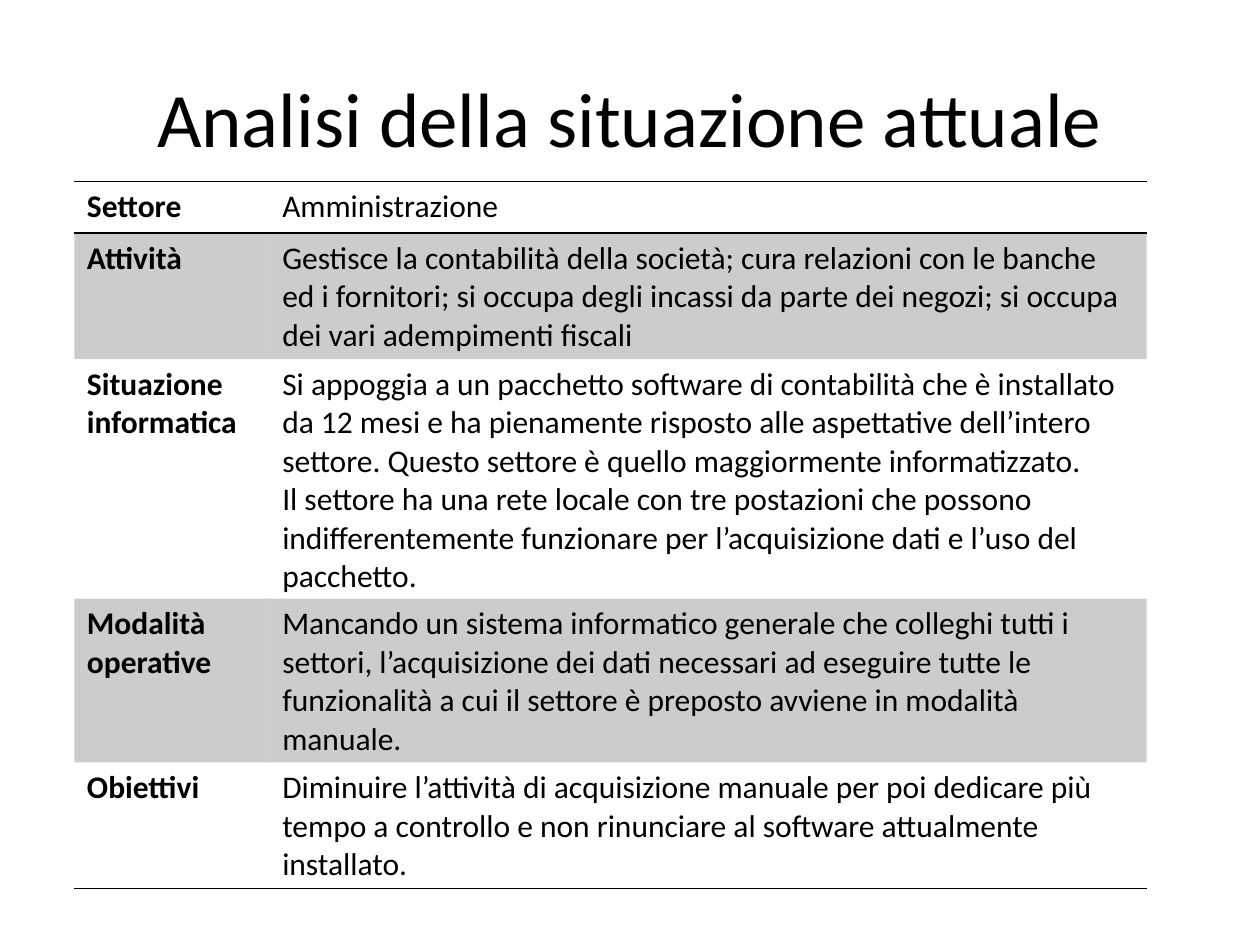
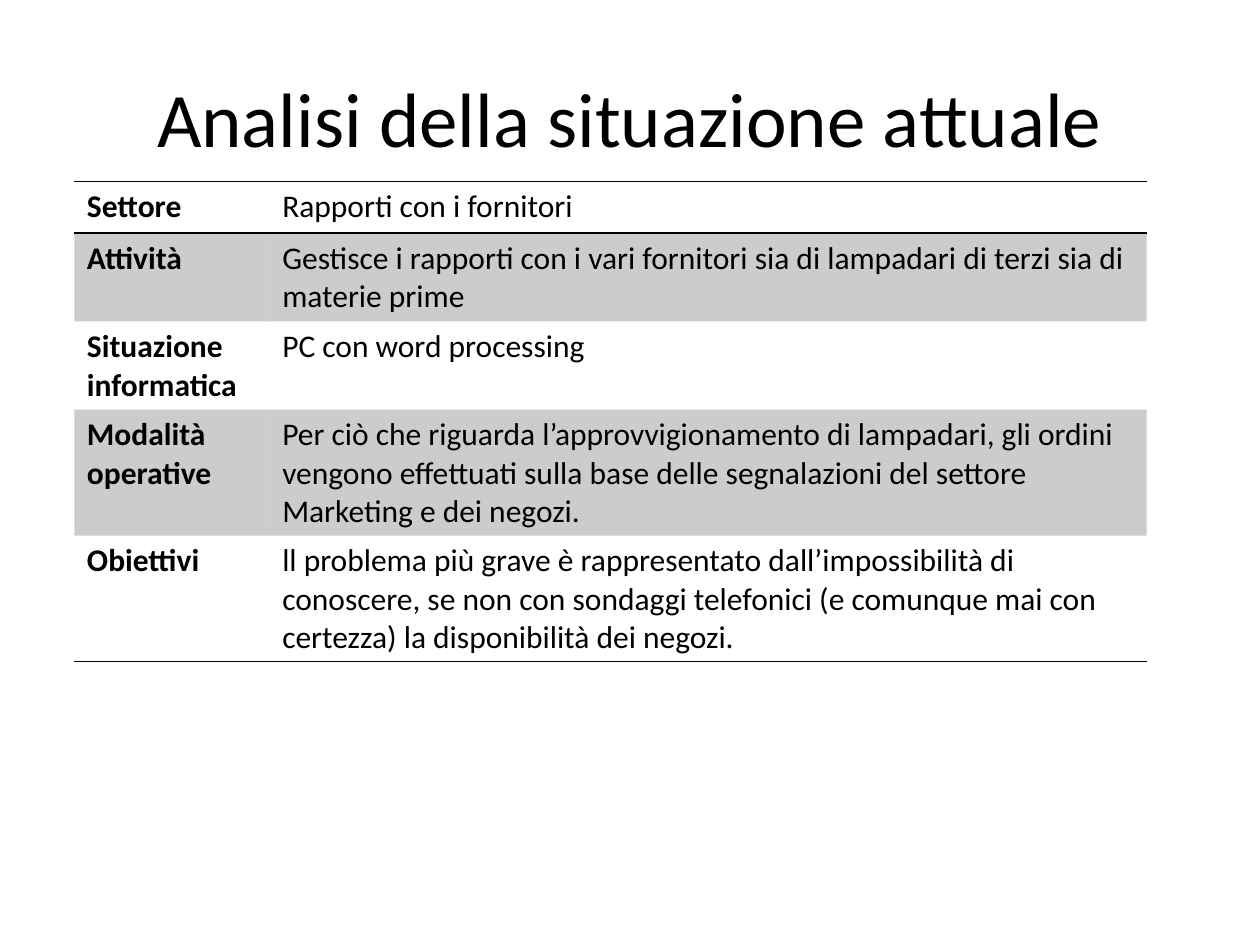
"""Build two slides that analyse the current situation of a company's departments."""
from dataclasses import dataclass

from lxml.etree import SubElement
from pptx import Presentation
from pptx.dml.color import RGBColor
from pptx.enum.text import MSO_ANCHOR as Anchor, PP_ALIGN as Align
from pptx.oxml.ns import qn
from pptx.util import Inches, Pt

TITLE = "Analisi della situazione attuale"
LABELS = ["Settore", "Attività", "Situazione informatica", "Modalità operative", "Obiettivi"]
SECTORS = [
    [
        ["Amministrazione"],
        ["Gestisce la contabilità della società; cura relazioni con le banche ed i fornitori; "
         "si occupa degli incassi da parte dei negozi; si occupa dei vari adempimenti fiscali"],
        ["Si appoggia a un pacchetto software di contabilità che è installato da 12 mesi e ha "
         "pienamente risposto alle aspettative dell’intero settore. Questo settore è quello "
         "maggiormente informatizzato.",
         "Il settore ha una rete locale con tre postazioni che possono indifferentemente "
         "funzionare per l’acquisizione dati e l’uso del pacchetto."],
        ["Mancando un sistema informatico generale che colleghi tutti i settori, l’acquisizione "
         "dei dati necessari ad eseguire tutte le funzionalità a cui il settore è preposto "
         "avviene in modalità manuale."],
        ["Diminuire l’attività di acquisizione manuale per poi dedicare più tempo a controllo e "
         "non rinunciare al software attualmente installato."],
    ],
    [
        ["Rapporti con i fornitori"],
        ["Gestisce i rapporti con i vari fornitori sia di lampadari di terzi sia di materie prime"],
        ["PC con word processing"],
        ["Per ciò che riguarda l’approvvigionamento di lampadari, gli ordini vengono effettuati "
         "sulla base delle segnalazioni del settore Marketing e dei negozi."],
        ["ll problema più grave è rappresentato dall’impossibilità di conoscere, se non con "
         "sondaggi telefonici (e comunque mai con certezza) la disponibilità dei negozi."],
    ],
]


@dataclass(frozen=True)
class Theme:
    font: str = "Calibri"
    ink: str = "000000"
    title_size: int = 44
    body_size: int = 18
    band_opacity: int = 20
    rule_width: int = 1
    plain_table: str = "{2D5ABB26-0587-4C30-8999-92F81FD0307C}"


THEME = Theme()
INK = RGBColor.from_string(THEME.ink)
WIDTH, HEIGHT = Inches(10), Inches(7.5)
TITLE_BOX = (int(WIDTH * 0.05), int(HEIGHT * 0.04), int(WIDTH * 0.9), Inches(1.25))
TABLE_LEFT, TABLE_TOP = Inches(0.59), Inches(1.44)
COLUMNS = (Inches(1.55), Inches(6.96))
ROW_HEIGHT = Inches(0.41)


def add_run(paragraph, text, size, bold=False):
    run = paragraph.add_run()
    run.text = text
    run.font.name, run.font.size, run.font.bold = THEME.font, Pt(size), bold
    run.font.color.rgb = INK


def add_title(slide):
    frame = slide.shapes.add_textbox(*TITLE_BOX).text_frame
    frame.word_wrap = True
    frame.vertical_anchor = Anchor.MIDDLE
    frame.paragraphs[0].alignment = Align.CENTER
    add_run(frame.paragraphs[0], TITLE, THEME.title_size)


def add_rule(cell, side):
    properties = cell._tc.get_or_add_tcPr()
    line = SubElement(properties, qn(f"a:ln{side}"), w=str(Pt(THEME.rule_width)))
    SubElement(SubElement(line, qn("a:solidFill")), qn("a:srgbClr"), val=THEME.ink)


def shade(cell):
    cell.fill.solid()
    cell.fill.fore_color.rgb = INK
    color = cell._tc.tcPr.find(f".//{qn('a:srgbClr')}")
    SubElement(color, qn("a:alpha"), val=str(THEME.band_opacity * 1000))


def fill_cell(cell, texts, row, bold):
    for index, text in enumerate(texts):
        frame = cell.text_frame
        paragraph = frame.add_paragraph() if index else frame.paragraphs[0]
        add_run(paragraph, text, THEME.body_size, bold)
    if row == 0:
        add_rule(cell, "T")
    if row in (0, len(LABELS) - 1):
        add_rule(cell, "B")
    if row % 2:
        shade(cell)
    else:
        cell.fill.background()


def add_sector_table(slide, details):
    table = slide.shapes.add_table(len(LABELS), len(COLUMNS), TABLE_LEFT, TABLE_TOP,
                                   sum(COLUMNS), ROW_HEIGHT * len(LABELS)).table
    table.first_row = table.horz_banding = False
    table._tbl.tblPr.find(qn("a:tableStyleId")).text = THEME.plain_table
    for column, width in zip(table.columns, COLUMNS):
        column.width = width
    for row, (label, texts) in enumerate(zip(LABELS, details)):
        fill_cell(table.cell(row, 0), [label], row, True)
        fill_cell(table.cell(row, 1), texts, row, False)


presentation = Presentation()
presentation.slide_width, presentation.slide_height = WIDTH, HEIGHT
for sector in SECTORS:
    new_slide = presentation.slides.add_slide(presentation.slide_layouts[6])
    add_title(new_slide)
    add_sector_table(new_slide, sector)
presentation.save("out.pptx")
